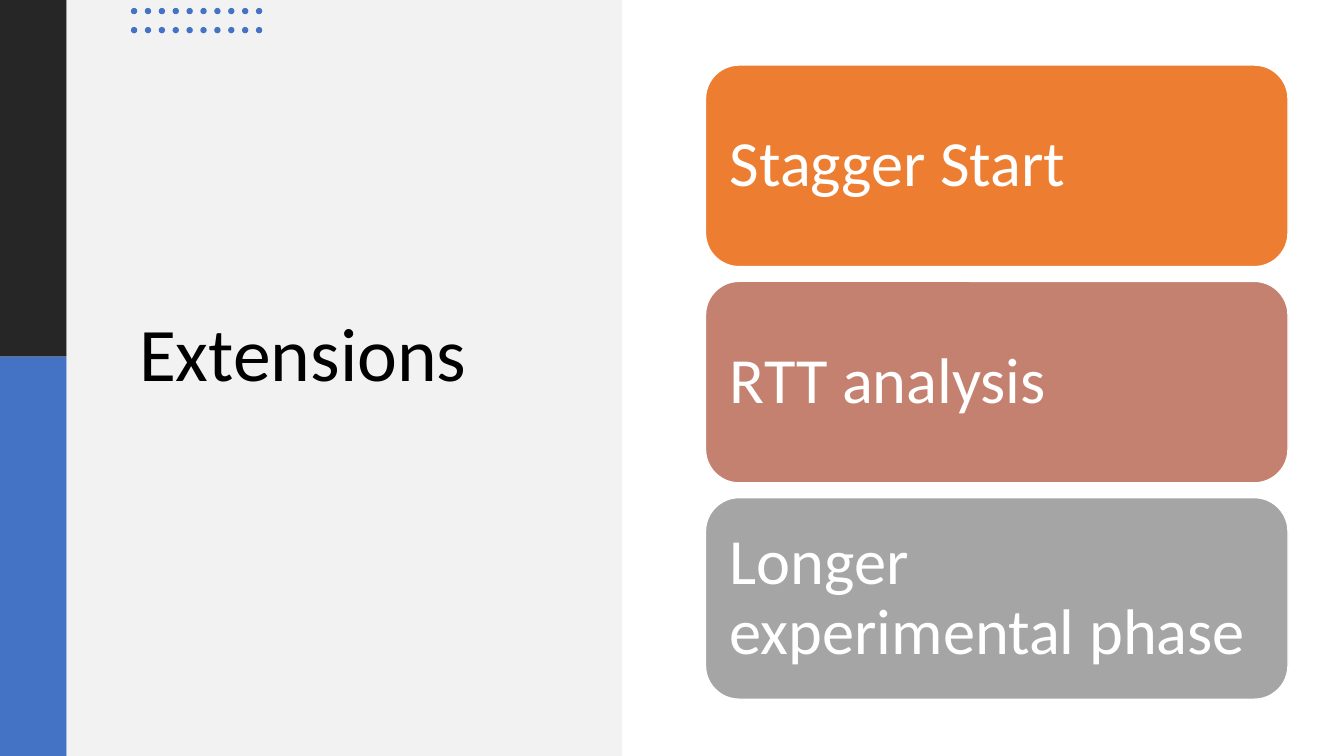
from dataclasses import dataclass

import pptx
import pptx.dml.color
import pptx.enum.shapes
import pptx.enum.text
import pptx.shapes.autoshape
import pptx.shapes.shapetree
import pptx.slide
import pptx.text.text
import pptx.util

Cm = pptx.util.Cm
Pt = pptx.util.Pt
RGBColor = pptx.dml.color.RGBColor
Shape = pptx.enum.shapes.MSO_SHAPE

BLACK = RGBColor(0x00, 0x00, 0x00)
WHITE = RGBColor(0xFF, 0xFF, 0xFF)
CHARCOAL = RGBColor(0x26, 0x26, 0x26)
BLUE = RGBColor(0x44, 0x72, 0xC4)
PALE_GREY = RGBColor(0xF2, 0xF2, 0xF2)
ORANGE = RGBColor(0xED, 0x7D, 0x31)
CLAY = RGBColor(0xC4, 0x81, 0x70)
GREY = RGBColor(0xA5, 0xA5, 0xA5)

FONT = "Calibri"
SLIDE_WIDTH, SLIDE_HEIGHT = 33.87, 19.05
STRIPE_WIDTH, STRIPE_SPLIT = 1.68, 8.99
DOT_COLUMNS, DOT_ROWS = 10, 2
DOT_LEFT, DOT_TOP, DOT_SIZE = 3.3, 0.2, 0.16
DOT_STEP_X, DOT_STEP_Y = 0.35, 0.48
CARD_LEFT, CARD_TOP = 17.78, 1.64
CARD_WIDTH, CARD_HEIGHT, CARD_STEP = 14.68, 5.08, 5.45
CARD_INSET = 0.73


@dataclass(frozen=True)
class Block:
    left: float
    top: float
    width: float
    height: float
    color: RGBColor
    kind: Shape = Shape.RECTANGLE


@dataclass(frozen=True)
class Extension:
    text: str
    color: RGBColor


BACKDROP = [
    Block(0, 0, STRIPE_WIDTH, STRIPE_SPLIT, CHARCOAL),
    Block(0, STRIPE_SPLIT, STRIPE_WIDTH, SLIDE_HEIGHT - STRIPE_SPLIT, BLUE),
    Block(STRIPE_WIDTH, 0, 14, SLIDE_HEIGHT, PALE_GREY),
]
EXTENSIONS = [
    Extension("Stagger Start", ORANGE),
    Extension("RTT analysis", CLAY),
    Extension("Longer experimental phase", GREY),
]


def draw_block(
    shapes: pptx.shapes.shapetree.SlideShapes | pptx.shapes.shapetree.GroupShapes,
    block: Block,
) -> pptx.shapes.autoshape.Shape:
    drawn = shapes.add_shape(
        block.kind, Cm(block.left), Cm(block.top), Cm(block.width), Cm(block.height)
    )
    drawn.shadow.inherit = False
    drawn.fill.solid()
    drawn.fill.fore_color.rgb = block.color
    drawn.line.fill.background()
    return drawn


def write_text(
    frame: pptx.text.text.TextFrame, text: str, size: int, color: RGBColor
) -> None:
    frame.word_wrap = True
    frame.auto_size = pptx.enum.text.MSO_AUTO_SIZE.NONE
    frame.vertical_anchor = pptx.enum.text.MSO_ANCHOR.MIDDLE
    paragraph = frame.paragraphs[0]
    paragraph.alignment = pptx.enum.text.PP_ALIGN.LEFT
    paragraph.line_spacing = 0.9
    run = paragraph.add_run()
    run.text = text
    run.font.name = FONT
    run.font.size = Pt(size)
    run.font.color.rgb = color


def draw_title(slide: pptx.slide.Slide) -> None:
    title = slide.shapes.title
    title.left, title.top = Cm(3.25), Cm(3.33)
    title.width, title.height = Cm(10.46), Cm(11.33)
    write_text(title.text_frame, "Extensions", 54, BLACK)
    title.element.getparent().append(title.element)


def draw_dots(slide: pptx.slide.Slide) -> None:
    dots = slide.shapes.add_group_shape().shapes
    for column in range(DOT_COLUMNS):
        for row in range(DOT_ROWS):
            left = DOT_LEFT + column * DOT_STEP_X
            top = DOT_TOP + row * DOT_STEP_Y
            draw_block(dots, Block(left, top, DOT_SIZE, DOT_SIZE, BLUE, Shape.OVAL))


def draw_extensions(slide: pptx.slide.Slide) -> None:
    cards = slide.shapes.add_group_shape().shapes
    for index, extension in enumerate(EXTENSIONS):
        top = CARD_TOP + index * CARD_STEP
        card = draw_block(
            cards,
            Block(CARD_LEFT, top, CARD_WIDTH, CARD_HEIGHT, extension.color,
                  Shape.ROUNDED_RECTANGLE),
        )
        card.line.color.rgb = WHITE
        card.line.width = Pt(1)
        frame = card.text_frame
        frame.margin_left = frame.margin_right = Cm(CARD_INSET / 2)
        frame.margin_top = frame.margin_bottom = Cm(CARD_INSET / 2)
        write_text(frame, extension.text, 46, WHITE)


def main() -> None:
    presentation = pptx.Presentation()
    presentation.slide_width = Cm(SLIDE_WIDTH)
    presentation.slide_height = Cm(SLIDE_HEIGHT)
    slide = presentation.slides.add_slide(presentation.slide_layouts[5])
    for block in BACKDROP:
        draw_block(slide.shapes, block)
    draw_title(slide)
    draw_dots(slide)
    draw_extensions(slide)
    presentation.save("out.pptx")


if __name__ == "__main__":
    main()
